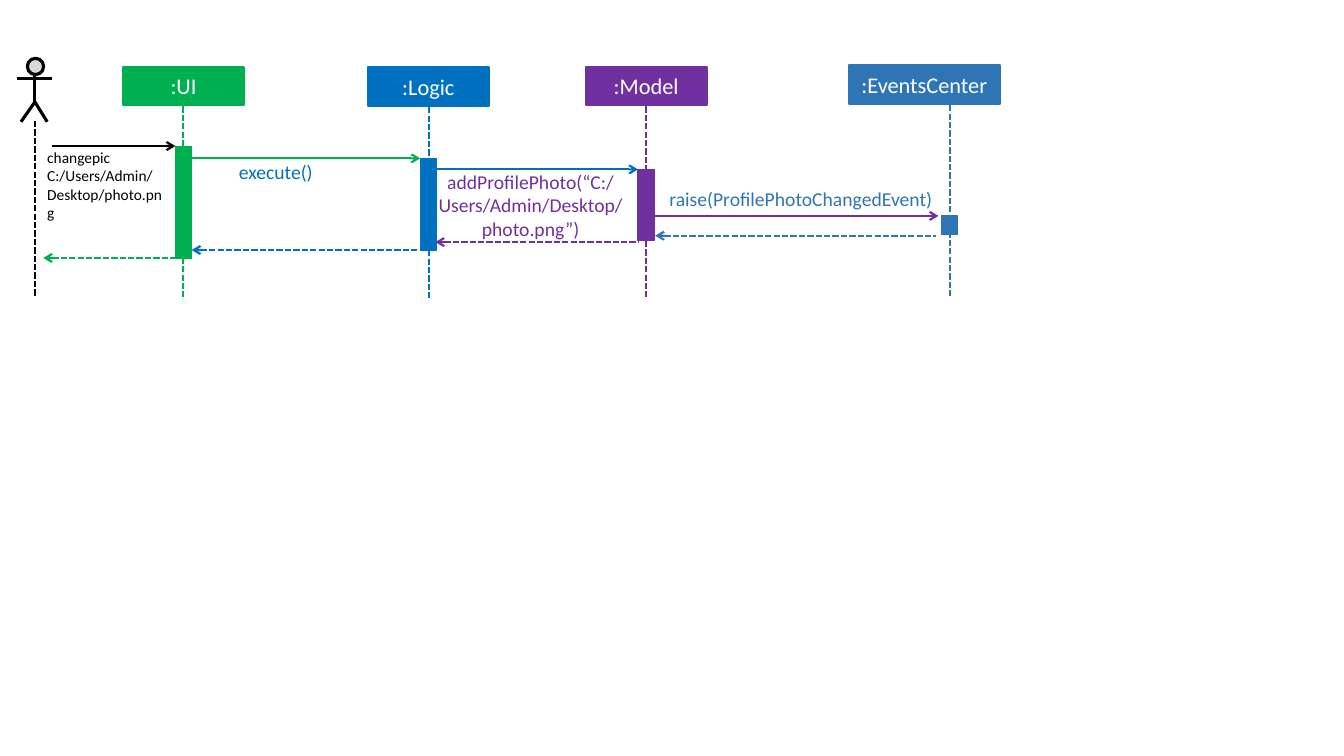
"""Build a sequence diagram slide for changing a profile photo."""
from pptx import Presentation
from pptx.dml.color import RGBColor
from pptx.enum.dml import MSO_LINE
from pptx.enum.shapes import MSO_CONNECTOR, MSO_SHAPE
from pptx.enum.text import MSO_ANCHOR, MSO_AUTO_SIZE, PP_ALIGN
from pptx.oxml.ns import qn
from pptx.util import Cm, Pt
from lxml.etree import SubElement

COLORS = {"ui": "00B050", "logic": "0070C0", "model": "7030A0", "events": "2E75B6",
          "user": "000000", "face": "D9D9D9", "white": "FFFFFF"}
FONT = "Calibri"
HEADER_HEIGHT, BAR_WIDTH = 0.97, 0.41
LIFELINE_GAP, LIFELINE_LENGTH = 1.0, 4.8

PARTICIPANTS = [
    (":UI", "ui", 3.1, 1.68, 3.05, 4.62, 3.68, 2.84),
    (":Logic", "logic", 9.27, 1.7, 3.05, 10.8, 3.99, 2.31),
    (":Model", "model", 14.76, 1.68, 3.05, 16.28, 4.27, 1.8),
    (":EventsCenter", "events", 21.39, 1.65, 3.81, 23.93, 5.44, 0.48),
]
CALLS = [
    ("user", 1.3, 4.42, 3.68),
    ("ui", 4.83, 10.59, 3.99),
    ("logic", 10.97, 16.08, 4.27),
    ("model", 16.51, 23.65, 5.44),
]
RETURNS = [
    ("model", 10.97, 16.08, 6.1),
    ("logic", 4.83, 10.54, 6.3),
    ("ui", 1.09, 4.42, 6.5),
    ("events", 16.51, 23.6, 5.94),
]
LABELS = [
    ("changepic C:/Users/Admin/ Desktop/photo.png", "user", 11, PP_ALIGN.LEFT,
     1.19, 3.73, 3.07, 1.42),
    ("execute()", "logic", 14, PP_ALIGN.LEFT, 6.02, 4.04, 3.96, 0.61),
    ("addProfilePhoto(“C:/ Users/Admin/Desktop/photo.png”)", "model", 14,
     PP_ALIGN.CENTER, 11.05, 4.27, 4.65, 1.8),
    ("raise(ProfilePhotoChangedEvent)", "events", 14, PP_ALIGN.LEFT,
     16.87, 4.7, 6.78, 0.61),
]


def color(name):
    """Return the named colour."""
    return RGBColor.from_string(COLORS[name])


def write(frame, text, ink, size, align):
    """Put one aligned run of text into a frame."""
    paragraph = frame.paragraphs[0]
    paragraph.alignment = align
    run = paragraph.add_run()
    run.text = text
    run.font.name = FONT
    run.font.size = Pt(size)
    run.font.color.rgb = color(ink)


def add_block(shapes, kind, left, top, width, height, fill, border, weight):
    """Draw a filled preset shape with a border."""
    block = shapes.add_shape(kind, Cm(left), Cm(top), Cm(width), Cm(height))
    block.shadow.inherit = False
    block.fill.solid()
    block.fill.fore_color.rgb = color(fill)
    block.line.color.rgb = color(border)
    block.line.width = Pt(weight)
    return block


def add_line(shapes, start, end, ink, weight=1.5, dashed=False, arrow=None):
    """Draw a straight line, with an arrowhead at headEnd or tailEnd if asked."""
    line = shapes.add_connector(MSO_CONNECTOR.STRAIGHT, *map(Cm, start + end))
    line.line.color.rgb = color(ink)
    line.line.width = Pt(weight)
    if dashed:
        line.line.dash_style = MSO_LINE.SQUARE_DOT
    properties = line._element.spPr
    if arrow:
        SubElement(properties.find(qn("a:ln")), qn(f"a:{arrow}"), type="arrow")
    SubElement(properties, qn("a:effectLst"))


def add_actor(shapes):
    """Draw the stick figure of the user and its lifeline."""
    figure = shapes.add_group_shape().shapes
    center, weight = 0.88, 2.25
    add_block(figure, MSO_SHAPE.FLOWCHART_CONNECTOR, 0.69, 1.47, 0.41, 0.41,
              "face", "user", weight)
    add_line(figure, (center, 1.88), (center, 2.59), "user", weight)
    outline = figure.build_freeform(Cm(0.53), Cm(3.07))
    outline.add_line_segments([(Cm(center), Cm(2.57)), (Cm(1.19), Cm(3.07))], close=False)
    legs = outline.convert_to_shape()
    legs.shadow.inherit = False
    legs.fill.background()
    legs.line.color.rgb = color("user")
    legs.line.width = Pt(weight)
    add_line(figure, (0.43, 1.98), (1.32, 1.98), "user", weight)
    add_line(shapes, (center, 3.05), (center, 7.49), "user", dashed=True)


def add_participant(shapes, name, hue, left, top, width, axis, bar_top, bar_height):
    """Draw a header box, its lifeline and its activation bar."""
    header = add_block(shapes, MSO_SHAPE.RECTANGLE, left, top, width, HEADER_HEIGHT,
                       hue, hue, 1.5)
    header.text_frame.vertical_anchor = MSO_ANCHOR.MIDDLE
    write(header.text_frame, name, "white", 16, PP_ALIGN.CENTER)
    start = top + LIFELINE_GAP
    add_line(shapes, (axis, start), (axis, start + LIFELINE_LENGTH), hue, dashed=True)
    add_block(shapes, MSO_SHAPE.RECTANGLE, axis - BAR_WIDTH / 2, bar_top, BAR_WIDTH,
              bar_height, hue, hue, 0.5)


def add_label(shapes, text, ink, size, align, left, top, width, height):
    """Write a message label without margins."""
    label = shapes.add_textbox(Cm(left), Cm(top), Cm(width), Cm(height))
    frame = label.text_frame
    frame.word_wrap = True
    frame.auto_size = MSO_AUTO_SIZE.SHAPE_TO_FIT_TEXT
    frame.margin_left = frame.margin_right = frame.margin_top = frame.margin_bottom = 0
    write(frame, text, ink, size, align)


def main():
    """Build and save the slide."""
    deck = Presentation()
    deck.slide_width, deck.slide_height = Cm(33.87), Cm(19.05)
    shapes = deck.slides.add_slide(deck.slide_layouts[6]).shapes
    add_actor(shapes)
    for participant in PARTICIPANTS:
        add_participant(shapes, *participant)
    for hue, left, right, y in CALLS:
        add_line(shapes, (left, y), (right, y), hue, arrow="tailEnd")
    for hue, left, right, y in RETURNS:
        add_line(shapes, (left, y), (right, y), hue, dashed=True, arrow="headEnd")
    for label in LABELS:
        add_label(shapes, *label)
    deck.save("out.pptx")


main()
